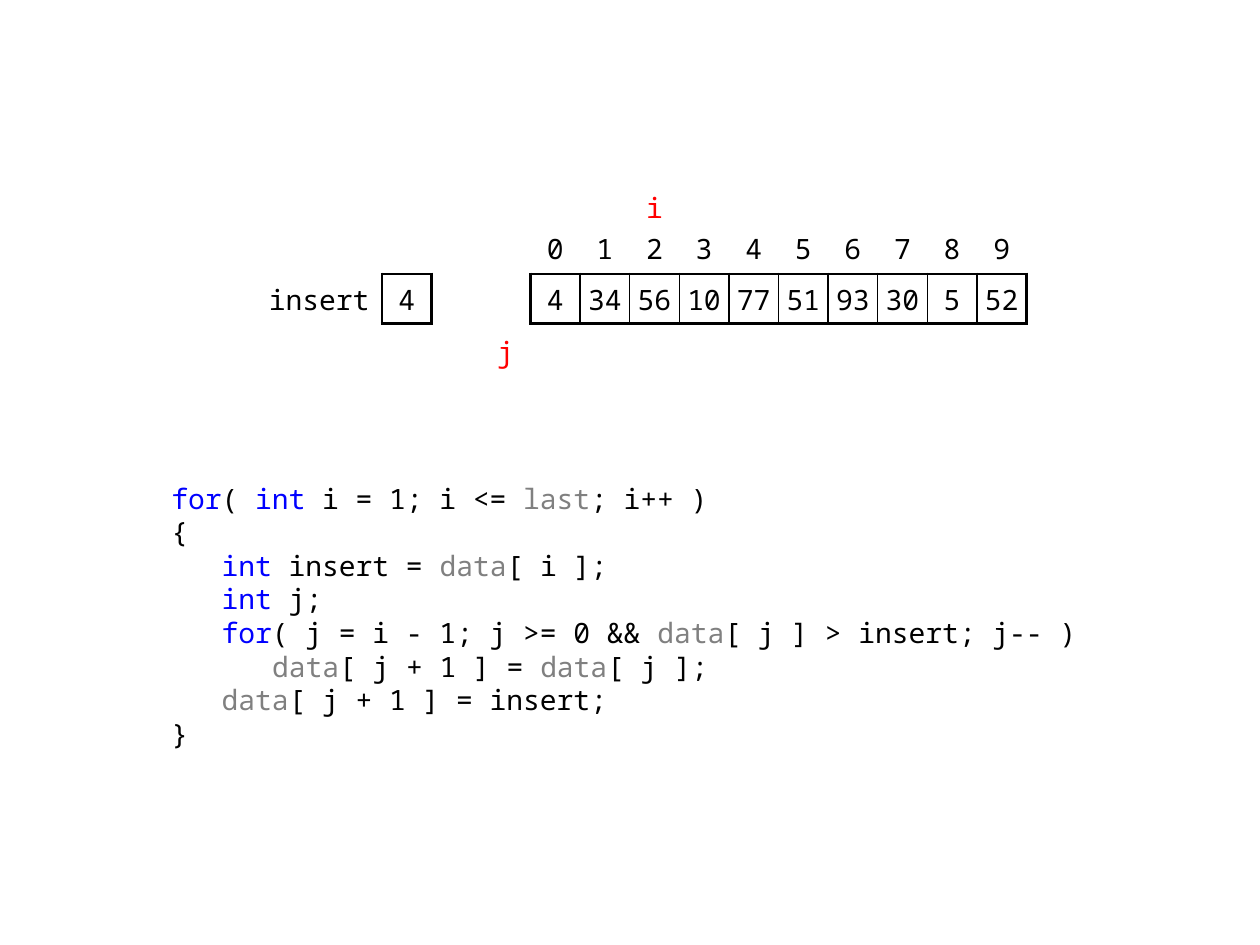
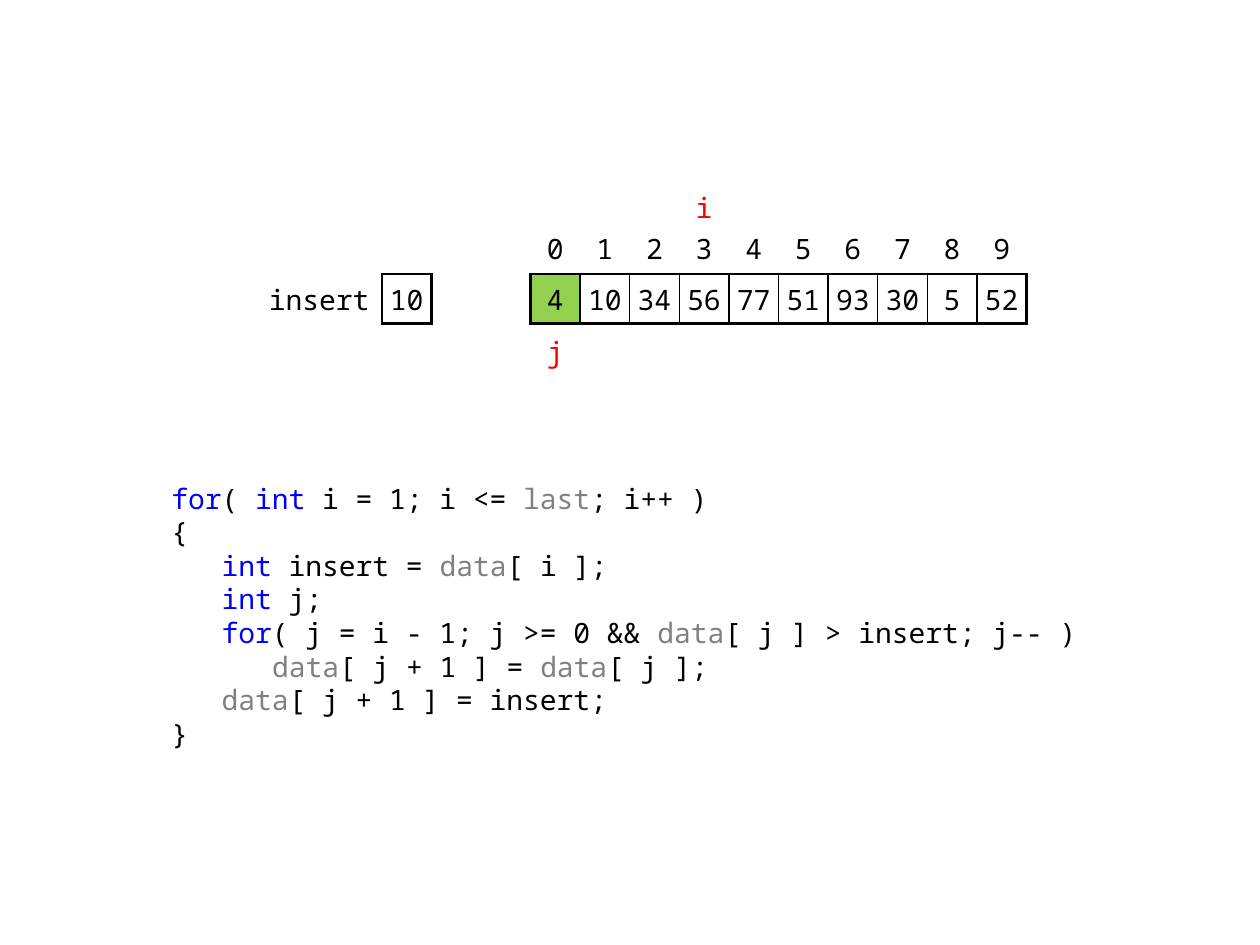
import itertools

import pptx
import pptx.dml.color
import pptx.enum.text
import pptx.oxml
import pptx.oxml.ns
import pptx.util

Pt = pptx.util.Pt
RGBColor = pptx.dml.color.RGBColor
ALIGN = pptx.enum.text.PP_ALIGN
ANCHOR = pptx.enum.text.MSO_ANCHOR

BLACK = RGBColor(0, 0, 0)
WHITE = RGBColor(255, 255, 255)
RED = RGBColor(255, 0, 0)
BLUE = RGBColor(0, 0, 255)
GREY = RGBColor(128, 128, 128)
GREEN = RGBColor(0x92, 0xD0, 0x50)

FONT = "Noto Sans Mono"
FONT_SIZE = 16
CELL = 28.35
ARRAY_LEFT = 303.1
INDEX_TOP = 128.1
VALUE_TOP = INDEX_TOP + CELL
INSERT_LEFT = 133.2
LABEL_WIDTH = 3 * CELL
INDENT = 28.8
OUTER, INNER = 1.5, 1
BOXED = dict.fromkeys("LRTB", OUTER)

WORD_COLOURS = {"for": BLUE, "int": BLUE, "last": GREY, "data": GREY}
CODE = [
    (0, "for( int i = 1; i <= last; i++ )"),
    (0, "{"),
    (1, "int insert = data[ i ];"),
    (1, "int j;"),
    (1, "for( j = i - 1; j >= 0 && data[ j ] > insert; j-- )"),
    (2, "data[ j + 1 ] = data[ j ];"),
    (1, "data[ j + 1 ] = insert;"),
    (0, "}"),
]

STEPS = [
    {"insert": 4, "i": 2, "j": -1, "sorted_end": 0,
     "values": [4, 34, 56, 10, 77, 51, 93, 30, 5, 52]},
    {"insert": 10, "i": 3, "j": 0, "sorted_end": 1,
     "values": [4, 10, 34, 56, 77, 51, 93, 30, 5, 52]},
]


def add_text(paragraph, text, colour=BLACK, align=ALIGN.LEFT):
    paragraph.alignment = align
    run = paragraph.add_run()
    run.text = text
    run.font.name = FONT
    run.font.size = Pt(FONT_SIZE)
    run.font.color.rgb = colour


def set_borders(cell, widths):
    properties = cell._tc.get_or_add_tcPr()
    for position, side in enumerate("LRTB"):
        width = widths.get(side, 0)
        paint = f'<a:solidFill><a:srgbClr val="{BLACK}"/></a:solidFill>' if width else "<a:noFill/>"
        border = pptx.oxml.parse_xml(
            f'<a:ln{side} {pptx.oxml.ns.nsdecls("a")} w="{Pt(width)}">{paint}</a:ln{side}>')
        properties.insert(position, border)


def fill_cell(cell, text, borders, fill=None, align=ALIGN.CENTER, side_margin=0, top=2.88, bottom=1.44):
    cell.vertical_anchor = ANCHOR.MIDDLE
    cell.margin_left = cell.margin_right = Pt(side_margin)
    cell.margin_top, cell.margin_bottom = Pt(top), Pt(bottom)
    if fill is None:
        cell.fill.background()
    else:
        cell.fill.solid()
        cell.fill.fore_color.rgb = fill
    set_borders(cell, borders)
    add_text(cell.text_frame.paragraphs[0], str(text), align=align)


def add_grid(slide, left, top, widths, row_count):
    grid = slide.shapes.add_table(row_count, len(widths), Pt(left), Pt(top),
                                  Pt(sum(widths)), Pt(row_count * CELL)).table
    grid.first_row = grid.horz_banding = False
    for column, width in zip(grid.columns, widths):
        column.width = Pt(width)
    return grid


def add_insert_box(slide, value):
    grid = add_grid(slide, INSERT_LEFT, VALUE_TOP, [LABEL_WIDTH, CELL], 1)
    fill_cell(grid.cell(0, 0), "insert", {"R": OUTER}, align=ALIGN.RIGHT, side_margin=7.2)
    fill_cell(grid.cell(0, 1), value, BOXED)


def add_array(slide, values, sorted_end):
    grid = add_grid(slide, ARRAY_LEFT, INDEX_TOP, [CELL] * len(values), 2)
    last = len(values) - 1
    for index, value in enumerate(values):
        fill_cell(grid.cell(0, index), index, {"B": OUTER}, top=0, bottom=0)
        borders = {"L": INNER if index else OUTER, "R": INNER if index < last else OUTER,
                   "T": OUTER, "B": OUTER}
        fill_cell(grid.cell(1, index), value, borders, fill=GREEN if index < sorted_end else WHITE)


def add_marker(slide, name, index, top, bottom_margin):
    marker = slide.shapes.add_textbox(Pt(ARRAY_LEFT + index * CELL), Pt(top), Pt(CELL), Pt(CELL))
    frame = marker.text_frame
    frame.word_wrap = True
    frame.vertical_anchor = ANCHOR.BOTTOM
    frame.margin_bottom = Pt(bottom_margin)
    add_text(frame.paragraphs[0], name, colour=RED, align=ALIGN.CENTER)


def coloured_parts(line):
    words = ("".join(letters) for _, letters in itertools.groupby(line, str.isalpha))
    for colour, group in itertools.groupby(words, lambda word: WORD_COLOURS.get(word, BLACK)):
        yield "".join(group), colour


def add_code(slide):
    listing = slide.placeholders[1]
    listing.left, listing.top, listing.width, listing.height = Pt(90.7), Pt(270), Pt(538.6), Pt(170)
    frame = listing.text_frame
    frame.auto_size = pptx.enum.text.MSO_AUTO_SIZE.NONE
    frame.word_wrap = True
    frame.vertical_anchor = ANCHOR.TOP
    frame.margin_top = Pt(5)
    for number, (level, line) in enumerate(CODE):
        paragraph = frame.add_paragraph() if number else frame.paragraphs[0]
        paragraph.space_before = paragraph.space_after = Pt(0)
        paragraph.line_spacing = Pt(19.2)
        properties = paragraph._p.get_or_add_pPr()
        properties.set("marL", str(Pt(level * INDENT)))
        properties.set("indent", "0")
        properties.append(pptx.oxml.parse_xml(f'<a:buNone {pptx.oxml.ns.nsdecls("a")}/>'))
        for text, colour in coloured_parts(line):
            add_text(paragraph, text, colour=colour)


def add_step(deck, step):
    slide = deck.slides.add_slide(deck.slide_layouts[1])
    title = slide.shapes.title._element
    title.getparent().remove(title)
    add_insert_box(slide, step["insert"])
    add_code(slide)
    add_marker(slide, "i", step["i"], INDEX_TOP - CELL, 0)
    add_marker(slide, "j", step["j"], VALUE_TOP + CELL, 2.88)
    add_array(slide, step["values"], step["sorted_end"])


def main():
    deck = pptx.Presentation()
    deck.slide_width, deck.slide_height = Pt(720), Pt(540)
    for step in STEPS:
        add_step(deck, step)
    deck.save("out.pptx")


main()
